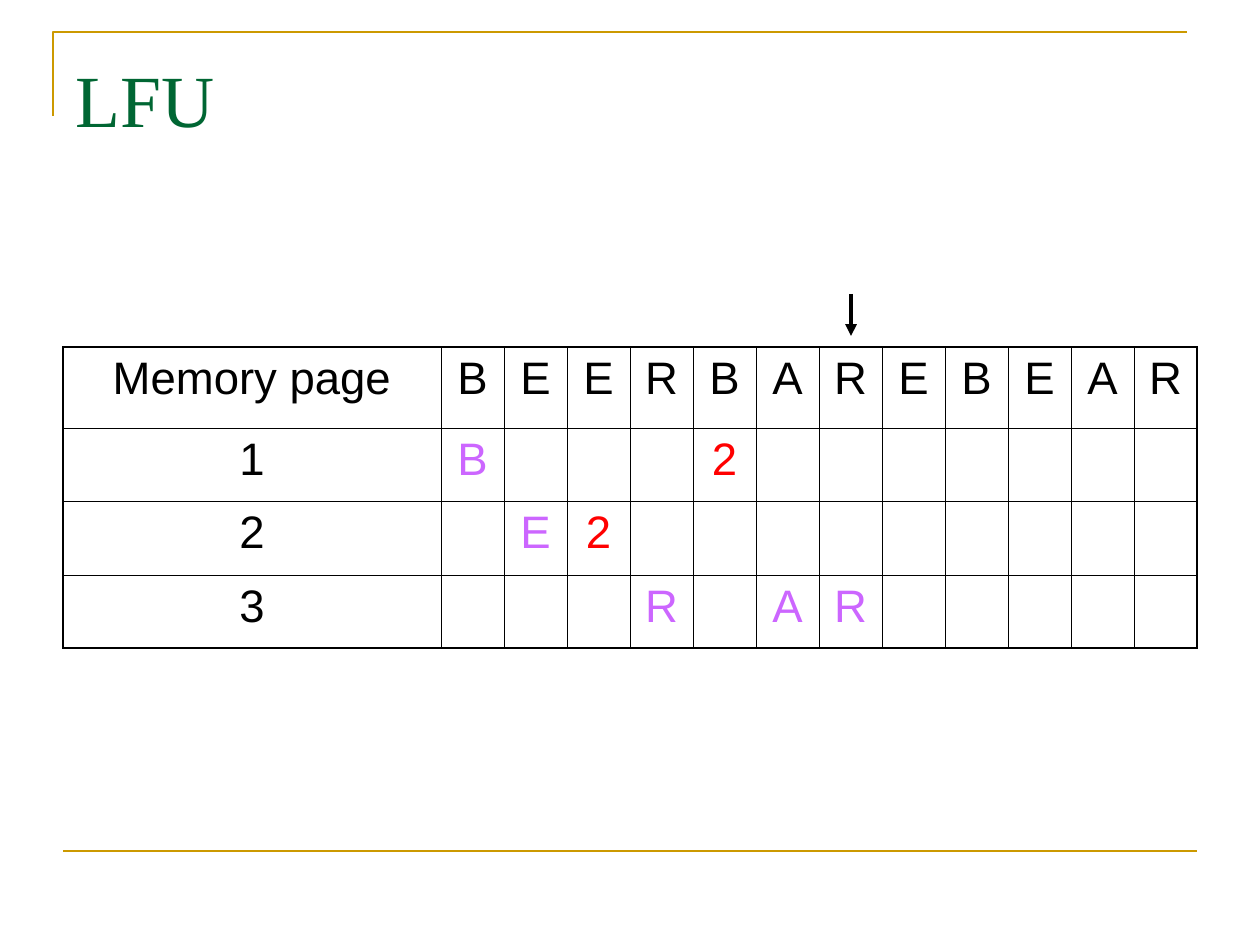
from dataclasses import dataclass

from lxml.etree import SubElement
from pptx import Presentation
from pptx.dml.color import RGBColor
from pptx.enum.shapes import MSO_CONNECTOR
from pptx.enum.text import MSO_ANCHOR, PP_ALIGN
from pptx.oxml.ns import qn
from pptx.util import Pt


@dataclass(frozen=True)
class Theme:
    black: str = "000000"
    gold: str = "CC9900"
    green: str = "006633"
    violet: str = "CC66FF"
    red: str = "FF0000"
    title_font: str = "Times New Roman"
    body_font: str = "Arial"
    title_size: int = 42
    body_size: int = 26
    rule: float = 1.5
    arrow: float = 2.25
    inner_border: float = 0.45
    outer_border: float = 1.08


theme = Theme()
PX = 914400 / 126


def write(frame, text, *, font=theme.body_font, size=theme.body_size,
          color=theme.black, align=PP_ALIGN.CENTER):
    paragraph = frame.paragraphs[0]
    paragraph.alignment = align
    run = paragraph.add_run()
    run.text = text
    run.font.name = font
    run.font.size = Pt(size)
    run.font.color.rgb = RGBColor.from_string(color)


def px(*lengths):
    return [round(length * PX) for length in lengths]


presentation = Presentation()
presentation.slide_width, presentation.slide_height = px(1260, 945)
slide = presentation.slides.add_slide(presentation.slide_layouts[6])
shapes = slide.shapes

builder = shapes.build_freeform(*px(53, 116), scale=1.0)
builder.add_line_segments([px(53, 32), px(1187, 32)], close=False)
corner = builder.convert_to_shape()
corner.shadow.inherit = False
corner.fill.background()
corner.line.color.rgb = RGBColor.from_string(theme.gold)
corner.line.width = Pt(theme.rule)

title = shapes.add_textbox(*px(63, 38, 1134, 157)).text_frame
title.word_wrap = True
title.vertical_anchor = MSO_ANCHOR.TOP
title.margin_top = px(16)[0]
write(title, "LFU", font=theme.title_font, size=theme.title_size,
      color=theme.green, align=PP_ALIGN.LEFT)

requests = "BEERBAREBEAR"
row_heights = px(81, 73, 74, 73)
column_widths = px(378, *[63] * len(requests))
last_row, last_column = len(row_heights) - 1, len(requests)

entries = {(0, 0): ("Memory page", theme.black)}
for column, page in enumerate(requests, 1):
    entries[0, column] = (page, theme.black)
for row in range(1, last_row + 1):
    entries[row, 0] = (str(row), theme.black)
for row, column, page in [(1, 1, "B"), (2, 2, "E"), (3, 4, "R"), (3, 6, "A"), (3, 7, "R")]:
    entries[row, column] = (page, theme.violet)
for row, column in [(1, 5), (2, 3)]:
    entries[row, column] = ("2", theme.red)

table = shapes.add_table(last_row + 1, last_column + 1, *px(63, 347, 1134, 301)).table
table.first_row = False
table.horz_banding = False
for column, width in zip(table.columns, column_widths):
    column.width = width
for row, height in zip(table.rows, row_heights):
    row.height = height

for row in range(last_row + 1):
    for column in range(last_column + 1):
        cell = table.cell(row, column)
        properties = cell._tc.get_or_add_tcPr()
        edges = {"L": column == 0, "R": column == last_column,
                 "T": row == 0, "B": row == last_row}
        for side, is_outer in edges.items():
            width = theme.outer_border if is_outer else theme.inner_border
            border = SubElement(properties, qn(f"a:ln{side}"), w=str(Pt(width)))
            fill = SubElement(border, qn("a:solidFill"))
            SubElement(fill, qn("a:srgbClr"), val=theme.black)
        cell.fill.background()
        if (row, column) in entries:
            text, color = entries[row, column]
            write(cell.text_frame, text, color=color)

for ends, color, width, has_arrowhead in [
    ((63, 851, 1197, 851), theme.gold, theme.rule, False),
    ((851, 294, 851, 336), theme.black, theme.arrow, True),
]:
    connector = shapes.add_connector(MSO_CONNECTOR.STRAIGHT, *px(*ends))
    connector.line.color.rgb = RGBColor.from_string(color)
    connector.line.width = Pt(width)
    if has_arrowhead:
        SubElement(connector.line._get_or_add_ln(), qn("a:tailEnd"), type="triangle")
    SubElement(connector._element.spPr, qn("a:effectLst"))

presentation.save("out.pptx")
